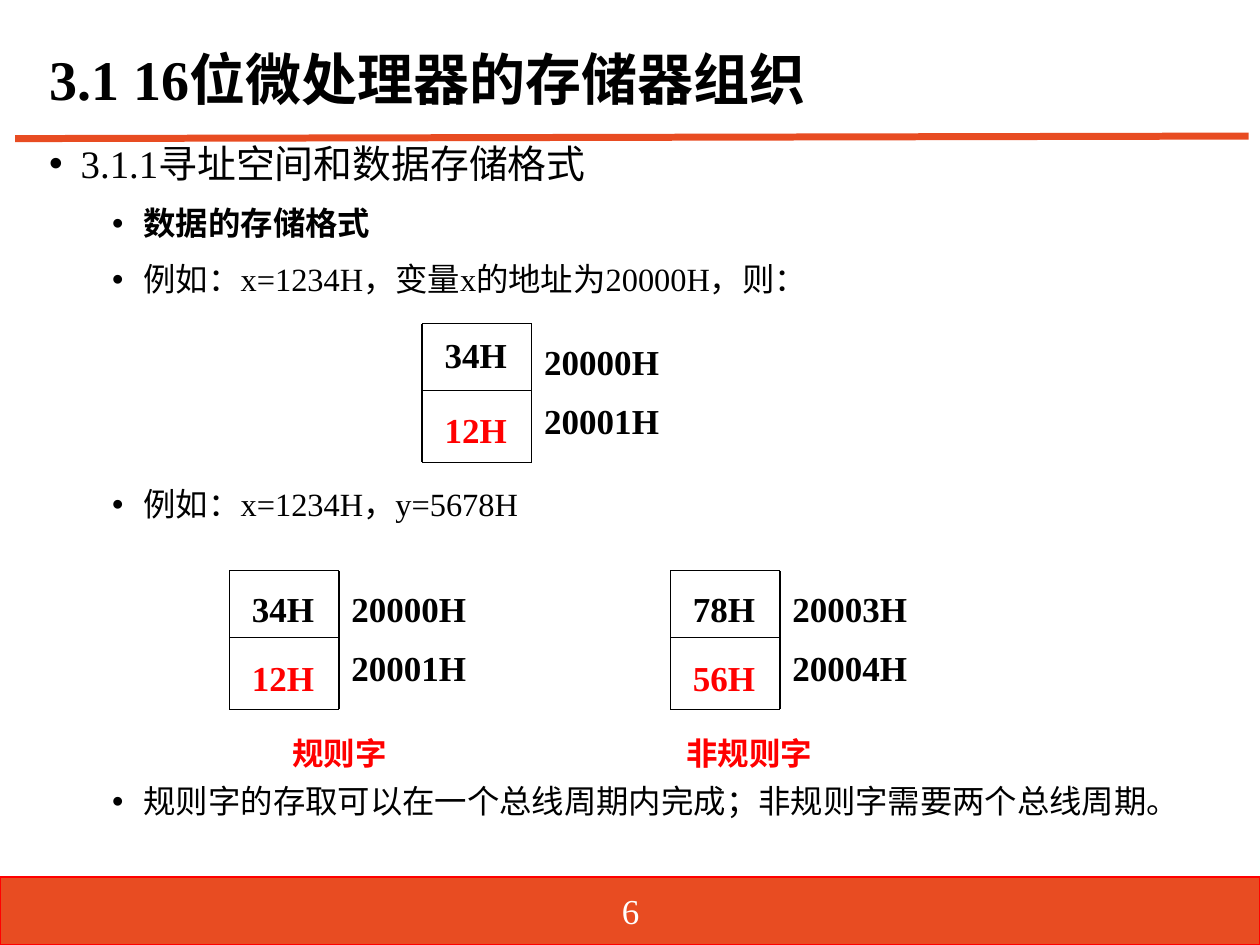
from lxml import etree
from pptx import Presentation
from pptx.dml.color import RGBColor
from pptx.enum.shapes import MSO_CONNECTOR, MSO_SHAPE
from pptx.enum.text import MSO_ANCHOR, MSO_AUTO_SIZE, PP_ALIGN
from pptx.oxml.ns import qn
from pptx.util import Inches, Pt

LEFT, CENTER = PP_ALIGN.LEFT, PP_ALIGN.CENTER
TOP, MIDDLE = MSO_ANCHOR.TOP, MSO_ANCHOR.MIDDLE
STRAIGHT, RECTANGLE = MSO_CONNECTOR.STRAIGHT, MSO_SHAPE.RECTANGLE
FONT = "Times New Roman"
COLORS = {"text": "000000", "accent": "E84C22", "high": "FF0000", "page": "FFFFFF"}

# Content
TITLE = "3.1 16位微处理器的存储器组织"
PAGE_NUMBER = "6"
# text, level, size, bold, space before, line spacing
BULLETS = [
    ("3.1.1寻址空间和数据存储格式", 0, 22.2, False, 0, 0.9),
    ("数据的存储格式", 1, 18.5, True, 6, 0.9),
    ("例如：x=1234H，变量x的地址为20000H，则：", 1, 18.5, False, 6, 0.9),
    ("例如：x=1234H，y=5678H", 1, 18.5, False, 102.5, 0.9),
    ("规则字的存取可以在一个总线周期内完成；非规则字需要两个总线周期。", 1, 18.5, False, 139, 1.1),
]
# left, top, offsets of the two values, (value, address) for low and high byte
MEMORY_WORDS = [
    (3.35, 2.57, (0.03, 0.62), [("34H", "20000H"), ("12H", "20001H")]),
    (1.82, 4.53, (0.08, 0.63), [("34H", "20000H"), ("12H", "20001H")]),
    (5.32, 4.53, (0.08, 0.63), [("78H", "20003H"), ("56H", "20004H")]),
]
CAPTIONS = [("规则字", 2.22), ("非规则字", 5.35)]

# Layout
WIDTH, HEIGHT = 10, 7.5
MARGIN, CONTENT_WIDTH = 0.29, 9.44
FOOTER_TOP = 6.96
CELL_WIDTH, WORD_HEIGHT, DIVIDER = 0.87, 1.1, 0.53
ADDRESS_OFFSETS = (0.08, 0.55)
TEXT_HEIGHT = 0.43


def color(name):
    return RGBColor.from_string(COLORS[name])


def place(shape, left, top, width, height):
    shape.left, shape.top = Inches(left), Inches(top)
    shape.width, shape.height = Inches(width), Inches(height)


def set_font(paragraph, size, bold=False, name="text"):
    font = paragraph.font
    font.name, font.size, font.bold = FONT, Pt(size), bold
    font.color.rgb = color(name)


def add_text(shapes, text, box, size=20, bold=True, name="text", align=LEFT, anchor=TOP):
    text_box = shapes.add_textbox(*map(Inches, box))
    frame = text_box.text_frame
    frame.word_wrap = True
    frame.vertical_anchor = anchor
    paragraph = frame.paragraphs[0]
    paragraph.text = text
    paragraph.alignment = align
    set_font(paragraph, size, bold, name)
    return paragraph


def add_line(shapes, start, end, width=0.75, name="text"):
    line = shapes.add_connector(STRAIGHT, *map(Inches, start + end))
    line.line.width = Pt(width)
    line.line.color.rgb = color(name)
    etree.SubElement(line._element.spPr, qn("a:effectLst"))


def add_bullet(paragraph, indent):
    properties = paragraph._p.get_or_add_pPr()
    properties.set("marL", str(Inches(indent)))
    properties.set("indent", str(Inches(-0.25)))
    etree.SubElement(properties, qn("a:buFont"), typeface="Arial")
    etree.SubElement(properties, qn("a:buChar"), char="•")


def add_memory_word(slide, left, top, value_offsets, cells):
    shapes = slide.shapes.add_group_shape().shapes
    right, bottom = left + CELL_WIDTH, top + WORD_HEIGHT
    for x in (left, right):
        add_line(shapes, (x, top), (x, bottom))
    for y in (top, top + DIVIDER, bottom):
        add_line(shapes, (left, y), (right, y))
    rows = zip(cells, value_offsets, ADDRESS_OFFSETS, ("text", "high"))
    for (value, address), value_offset, address_offset, name in rows:
        add_text(shapes, value, (left + 0.08, top + value_offset, 0.71, TEXT_HEIGHT), name=name)
        add_text(shapes, address, (right, top + address_offset, 1.18, TEXT_HEIGHT))


def main():
    presentation = Presentation()
    presentation.slide_width, presentation.slide_height = Inches(WIDTH), Inches(HEIGHT)
    slide = presentation.slides.add_slide(presentation.slide_layouts[1])
    shapes = slide.shapes

    # Footer band and title rule
    band = shapes.add_shape(RECTANGLE, *map(Inches, (0, FOOTER_TOP, WIDTH, HEIGHT - FOOTER_TOP)))
    band.shadow.inherit = False
    band.fill.solid()
    band.fill.fore_color.rgb = color("accent")
    band.line.color.rgb = color("high")
    band.line.width = Pt(0)
    add_line(shapes, (0.12, 1.1), (9.91, 1.08), 4, "accent")
    add_text(shapes, PAGE_NUMBER, (3.88, 7.03, 2.25, 0.4), bold=False, name="page",
             align=CENTER, anchor=MIDDLE)

    # Title
    title = shapes.title
    place(title, MARGIN, 0.21, CONTENT_WIDTH, 0.88)
    title.text_frame.text = TITLE
    title.text_frame.auto_size = MSO_AUTO_SIZE.NONE
    title.text_frame.vertical_anchor = MIDDLE
    heading = title.text_frame.paragraphs[0]
    heading.alignment = LEFT
    heading.line_spacing = 0.9
    set_font(heading, 32, True)

    # Bullets, with room left for the memory diagrams
    body = slide.placeholders[1]
    place(body, MARGIN, 1.1, CONTENT_WIDTH, 5.85)
    frame = body.text_frame
    frame.text = "\n".join(bullet[0] for bullet in BULLETS)
    frame.auto_size = MSO_AUTO_SIZE.NONE
    for paragraph, bullet in zip(frame.paragraphs, BULLETS):
        _, level, size, bold, before, spacing = bullet
        paragraph.level = level
        add_bullet(paragraph, 0.25 + 0.5 * level)
        paragraph.line_spacing = spacing
        paragraph.space_before, paragraph.space_after = Pt(before), Pt(6)
        set_font(paragraph, size, bold)

    # Memory diagrams and their captions
    for word in MEMORY_WORDS:
        add_memory_word(slide, *word)
    for text, left in CAPTIONS:
        caption = add_text(shapes, text, (left, 5.72, 1.5, TEXT_HEIGHT), 18, name="high")
        caption.line_spacing = 1.2

    presentation.save("out.pptx")


if __name__ == "__main__":
    main()
